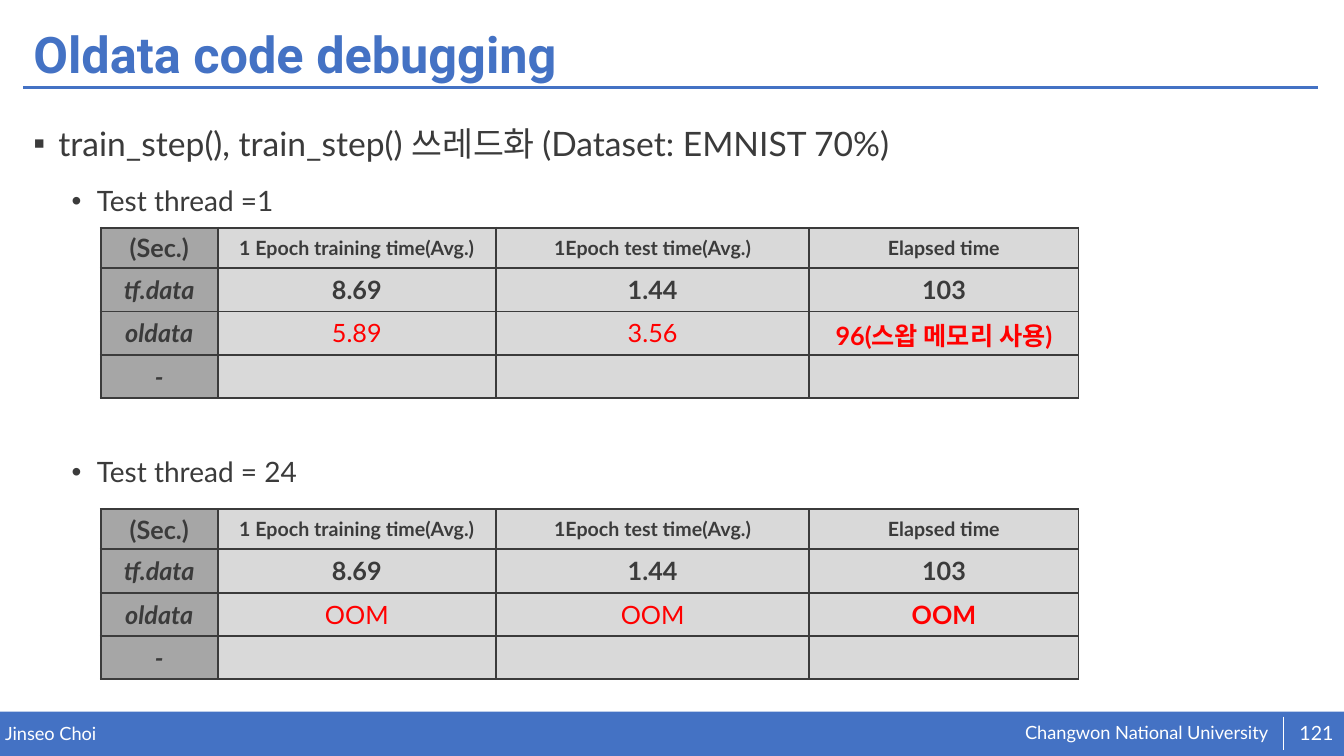
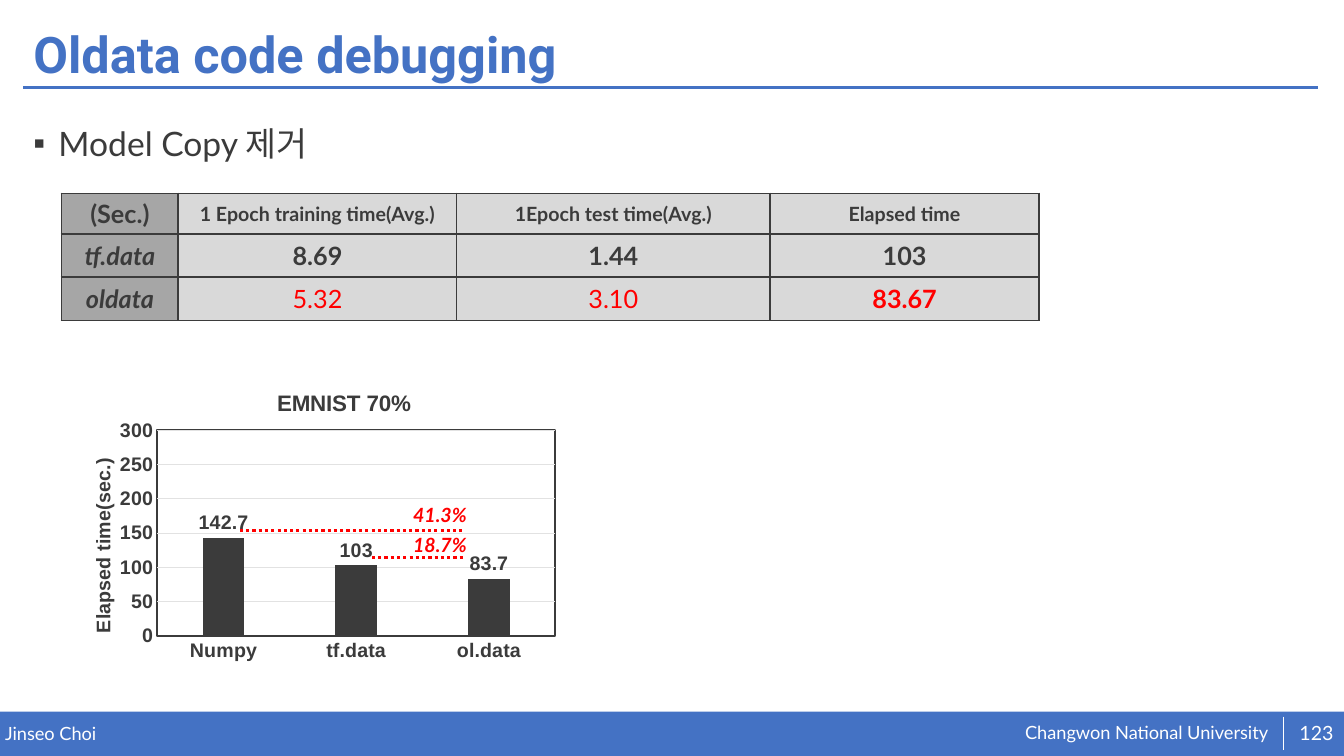
from dataclasses import dataclass

from lxml.etree import SubElement
from pptx import Presentation
from pptx.chart.data import CategoryChartData
from pptx.dml.color import RGBColor
from pptx.enum.chart import XL_CHART_TYPE, XL_LABEL_POSITION, XL_TICK_MARK
from pptx.enum.dml import MSO_LINE
from pptx.enum.shapes import MSO_CONNECTOR, MSO_SHAPE
from pptx.enum.text import MSO_ANCHOR, MSO_AUTO_SIZE, PP_ALIGN
from pptx.oxml import parse_xml
from pptx.oxml.ns import nsdecls, qn
from pptx.util import Inches, Pt

BLUE = RGBColor(0x44, 0x72, 0xC4)
DARK = RGBColor(0x3B, 0x3B, 0x3B)
RED = RGBColor(0xFF, 0x00, 0x00)
WHITE = RGBColor(0xFF, 0xFF, 0xFF)
GREY = RGBColor(0xA6, 0xA6, 0xA6)
PALE = RGBColor(0xD9, 0xD9, 0xD9)
GRIDLINE = RGBColor(0xE2, 0xE2, 0xE2)

CELL = Inches(0.1)
COLS, ROWS = 133.33, 75
TABLE_COLS = (11.6, 27.6, 31.1, 26.7)
HEADER_ROW, DATA_ROW = 3.9, 4.3
HEADER = ("(Sec.)", "1 Epoch training time(Avg.)", "1Epoch test time(Avg.)", "Elapsed time")
TF_DATA = ("tf.data", "8.69", "1.44", "103")
EMPTY = ("-", "", "", "")


def grid(n: float) -> int:
    return round(n * CELL)


@dataclass(frozen=True)
class Box:
    col: float
    row: float
    cols: float
    rows: float

    def emu(self) -> tuple:
        return tuple(grid(n) for n in (self.col, self.row, self.cols, self.rows))


@dataclass(frozen=True)
class Bullet:
    text: str
    level: int = 0
    before: float = 0


@dataclass(frozen=True)
class Reduction:
    text: str
    text_row: float
    line_row: float
    start: float
    end: float


LEVELS = (("▪", 24, 0.25), ("•", 20, 0.63))
REDUCTIONS = (
    Reduction("41.3%", 49.4, 52.6, 23.8, 46),
    Reduction("18.7%", 52.4, 55.3, 36.9, 46.1),
)


def style(font, size: float, color: RGBColor, name: str, bold: bool, italic: bool) -> None:
    font.size, font.name, font.bold, font.italic = Pt(size), name, bold, italic
    font.color.rgb = color


def write(p, text: str, *, size: float = 18, color: RGBColor = DARK, name: str = "Lato",
          bold: bool = False, italic: bool = False, align=PP_ALIGN.LEFT) -> None:
    p.alignment = align
    r = p.add_run()
    r.text = text
    style(r.font, size, color, name, bold, italic)


def add_label(s, box: Box, text: str, *, margin: float = 0, wrap: bool = True,
              anchor=MSO_ANCHOR.TOP, **fmt) -> None:
    tf = s.shapes.add_textbox(*box.emu()).text_frame
    tf.word_wrap, tf.vertical_anchor = wrap, anchor
    tf.margin_left = tf.margin_right = grid(margin)
    tf.margin_top = tf.margin_bottom = grid(margin / 2)
    write(tf.paragraphs[0], text, **fmt)


def add_line(s, x1: float, y1: float, x2: float, y2: float, color: RGBColor,
             width: float, dash=None) -> None:
    sp = s.shapes.add_connector(MSO_CONNECTOR.STRAIGHT, grid(x1), grid(y1), grid(x2), grid(y2))
    sp.line.color.rgb, sp.line.width = color, Pt(width)
    if dash is not None:
        sp.line.dash_style = dash
    SubElement(sp._element.spPr, qn("a:effectLst"))


def place(sp, box: Box, anchor):
    sp.left, sp.top, sp.width, sp.height = box.emu()
    tf = sp.text_frame
    tf.word_wrap, tf.auto_size, tf.vertical_anchor = True, MSO_AUTO_SIZE.NONE, anchor
    return tf


def add_bullet(p, bullet: Bullet) -> None:
    char, size, indent = LEVELS[bullet.level]
    p.level, p.line_spacing, p.space_before = bullet.level, 1.4, Pt(bullet.before)
    pPr = p._p.get_or_add_pPr()
    pPr.set("marL", str(Inches(indent)))
    pPr.set("indent", str(-Inches(0.25)))
    SubElement(pPr, qn("a:buChar"), char=char)
    write(p, bullet.text, size=size)


def add_slide(prs, title: str, number: str, bullets: tuple):
    s = prs.slides.add_slide(prs.slide_layouts[1])
    band = s.shapes.add_shape(MSO_SHAPE.RECTANGLE, *Box(0, 70.6, COLS, 4.4).emu())
    band.shadow.inherit = False
    band.fill.solid()
    band.fill.fore_color.rgb = BLUE
    band.line.fill.background()
    add_label(s, Box(101.7, 71.6, 25, 2.3), "Changwon National University", size=13, color=WHITE)
    add_label(s, Box(0.5, 71.7, 65.5, 2.2), "Jinseo Choi", size=13, color=WHITE)
    add_label(s, Box(128.2, 70.7, 4.8, 4), number, size=14, color=WHITE,
              align=PP_ALIGN.CENTER, anchor=MSO_ANCHOR.MIDDLE)
    add_line(s, 2.3, 8.7, 130.8, 8.7, BLUE, 2)
    add_line(s, 127.3, 71.1, 127.3, 74.4, WHITE, 0.5)

    p = place(s.shapes.title, Box(2.3, 1.8, 128.6, 7.7), MSO_ANCHOR.MIDDLE).paragraphs[0]
    p.line_spacing = 0.9
    write(p, title, size=36, color=BLUE, name="Roboto", bold=True)

    tf = place(s.placeholders[1], Box(2.3, 10.1, 128.6, 56.3), MSO_ANCHOR.TOP)
    for i, bullet in enumerate(bullets):
        add_bullet(tf.add_paragraph() if i else tf.paragraphs[0], bullet)
    return s


def format_cell(cell, fill: RGBColor) -> None:
    tcPr = cell._tc.get_or_add_tcPr()
    for side in ("lnL", "lnR", "lnT", "lnB"):
        tcPr.append(parse_xml(
            f'<a:{side} {nsdecls("a")} w="{Pt(1.5)}"><a:solidFill>'
            f'<a:srgbClr val="{DARK}"/></a:solidFill></a:{side}>'))
    cell.fill.solid()
    cell.fill.fore_color.rgb = fill
    cell.vertical_anchor = MSO_ANCHOR.MIDDLE


def add_timings(s, col: float, row: float, *records: tuple) -> None:
    rows = (HEADER, TF_DATA, *records)
    heights = [HEADER_ROW] + [DATA_ROW] * (len(rows) - 1)
    box = Box(col, row, sum(TABLE_COLS), sum(heights))
    table = s.shapes.add_table(len(rows), len(TABLE_COLS), *box.emu()).table
    table.first_row = table.horz_banding = False
    for column, width in zip(table.columns, TABLE_COLS):
        column.width = grid(width)
    for i, (values, height) in enumerate(zip(rows, heights)):
        table.rows[i].height = grid(height)
        for j, text in enumerate(values):
            cell = table.cell(i, j)
            format_cell(cell, PALE if j else GREY)
            if text:
                measured = values[0] == "oldata" and j > 0
                write(cell.text_frame.paragraphs[0], text,
                      size=14 if i == 0 and j else 18,
                      color=RED if measured else DARK,
                      bold=not measured or j == len(values) - 1,
                      italic=j == 0 and i > 0, align=PP_ALIGN.CENTER)


def set_layout(parent, index: int, **shares: float) -> None:
    for old in parent.findall(qn("c:layout")):
        parent.remove(old)
    layout = parse_xml(f'<c:layout {nsdecls("c")}/>')
    manual = SubElement(layout, qn("c:manualLayout"))
    if "w" in shares:
        SubElement(manual, qn("c:layoutTarget"), val="inner")
    for mode in ("xMode", "yMode"):
        SubElement(manual, qn(f"c:{mode}"), val="edge")
    for key, value in shares.items():
        SubElement(manual, qn(f"c:{key}"), val=str(value))
    parent.insert(index, layout)


def chart_font(font, size: float = 14) -> None:
    style(font, size, DARK, "Arial", True, False)


def add_chart_title(owner, title, text: str, size: float, x: float, y: float) -> None:
    p = title.text_frame.paragraphs[0]
    write(p, text, size=size, name="Arial", bold=True, align=PP_ALIGN.CENTER)
    set_layout(title._element, 1, x=x, y=y)


def add_elapsed_chart(s) -> None:
    data = CategoryChartData()
    data.categories = ("Numpy", "tf.data", "ol.data")
    data.add_series("Series 1", (142.7, 103, 83.7))
    box = Box(6.1, 36.4, 50, 30)
    chart = s.shapes.add_chart(XL_CHART_TYPE.COLUMN_CLUSTERED, *box.emu(), data).chart
    chart.has_legend = False
    chart_font(chart.font)
    chart.has_title = True
    add_chart_title(chart, chart.chart_title, "EMNIST 70%", 16, 0.42, 0.06)

    cat, val = chart.category_axis, chart.value_axis
    for axis in (cat, val):
        axis.major_tick_mark = axis.minor_tick_mark = XL_TICK_MARK.NONE
        chart_font(axis.tick_labels.font)
    cat.format.line.color.rgb, cat.format.line.width = DARK, Pt(0.75)
    val.format.line.fill.background()
    val.minimum_scale, val.maximum_scale, val.major_unit = 0, 300, 50
    gridlines = val.major_gridlines.format.line
    gridlines.color.rgb, gridlines.width = GRIDLINE, Pt(0.75)
    val.has_title = True
    add_chart_title(val, val.axis_title, "Elapsed time(sec.)", 14, 0.05, 0.29)

    plot = chart.plots[0]
    plot.gap_width, plot.overlap, plot.vary_by_categories = 219, -27, False
    fill = plot.series[0].format.fill
    fill.solid()
    fill.fore_color.rgb = DARK
    plot.has_data_labels = True
    labels = plot.data_labels
    labels.show_value, labels.position = True, XL_LABEL_POSITION.OUTSIDE_END
    chart_font(labels.font)

    area = chart._chartSpace.chart.plotArea
    set_layout(area, 0, x=0.19, y=0.21, w=0.79, h=0.68)
    area.append(parse_xml(
        f'<c:spPr {nsdecls("c", "a")}><a:noFill/><a:ln w="{Pt(1.5)}"><a:solidFill>'
        f'<a:srgbClr val="{DARK}"/></a:solidFill></a:ln></c:spPr>'))


def main() -> None:
    prs = Presentation()
    prs.slide_width, prs.slide_height = grid(COLS), grid(ROWS)

    s = add_slide(prs, "Oldata code debugging", "121", (
        Bullet("train_step(), train_step() 쓰레드화 (Dataset: EMNIST 70%)"),
        Bullet("Test thread =1", 1, 5),
        Bullet("Test thread = 24", 1, 160),
    ))
    add_timings(s, 10, 22.6, ("oldata", "5.89", "3.56", "96(스왑 메모리 사용)"), EMPTY)
    add_timings(s, 10, 50.5, ("oldata", "OOM", "OOM", "OOM"), EMPTY)

    s = add_slide(prs, "Oldata code debugging", "123", (Bullet("Model Copy 제거"),))
    add_timings(s, 6.1, 19.2, ("oldata", "5.32", "3.10", "83.67"))
    add_elapsed_chart(s)
    for cut in REDUCTIONS:
        add_label(s, Box(40, cut.text_row, 7.4, 3.4), cut.text, margin=1, wrap=False,
                  size=14, color=RED, bold=True, italic=True)
        add_line(s, cut.start, cut.line_row, cut.end, cut.line_row, RED, 2.25, MSO_LINE.ROUND_DOT)

    prs.save("out.pptx")


if __name__ == "__main__":
    main()
